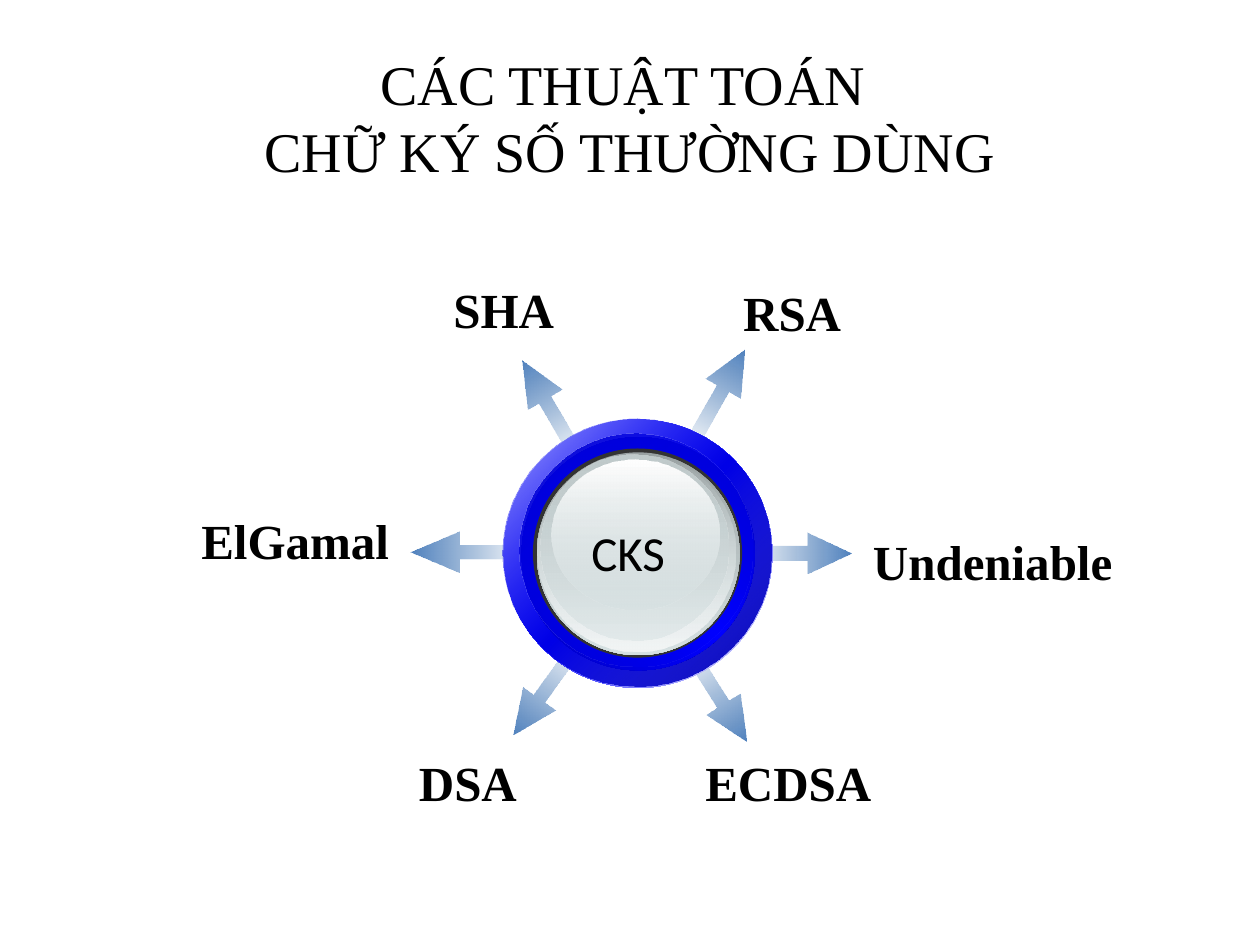
from pptx import Presentation, util as u
from pptx.dml.color import RGBColor
from pptx.enum import shapes, text
from pptx.oxml import parse_xml
from pptx.oxml.ns import nsdecls, qn

PX = 9144  # 100 px to the inch
SERIF, SANS = "Times New Roman", "Calibri"
HEX = {
    "black": "000000", "white": "FFFFFF", "steel": "4B7BB4", "sky": "4F81BD",
    "blue": "0000FF", "navy": "0000B6", "deep": "0000C3", "royal": "0000D1",
    "coal": "333333", "gray": "99A1A2", "ash": "C1CBCC", "mist": "D6E1E2",
    "pale": "F2F5F5",
}
ALIGN = {"l": text.PP_ALIGN.LEFT, "c": text.PP_ALIGN.CENTER, "r": text.PP_ALIGN.RIGHT}


def place(box, x, y, w, h):
    """Turn px relative to a box into EMU on the slide."""
    return [u.Emu(n * PX) for n in (box[0] + x, box[1] + y, w, h)]


def shade(shape, ang, *stops):
    """Fill with evenly spaced (colour, opacity %) stops."""
    gaps = len(stops) - 1
    marks = "".join(
        f'<a:gs pos="{100000 * i // gaps}"><a:srgbClr val="{HEX[name]}">'
        f'<a:alpha val="{alpha * 1000}"/></a:srgbClr></a:gs>'
        for i, (name, alpha) in enumerate(stops))
    shape.fill.background()
    props = shape._element.spPr
    props.replace(props.find(qn("a:noFill")), parse_xml(
        f'<a:gradFill {nsdecls("a")} rotWithShape="1"><a:gsLst>{marks}</a:gsLst>'
        f'<a:lin ang="{ang * 60000}" scaled="0"/></a:gradFill>'))


def plain(slide, kind, spot):
    shape = slide.shapes.add_shape(kind, *spot)
    shape.shadow.inherit = False
    shape.line.fill.background()
    return shape


def write(slide, spot, words, size, font=SERIF, bold=False, align="l", wrap=False):
    frame = slide.shapes.add_textbox(*spot).text_frame
    frame.word_wrap = wrap
    frame.vertical_anchor = text.MSO_ANCHOR.MIDDLE if wrap else text.MSO_ANCHOR.TOP
    if not wrap:
        frame.auto_size = text.MSO_AUTO_SIZE.SHAPE_TO_FIT_TEXT
    para = frame.paragraphs[0]
    para.text = words
    para.alignment = ALIGN[align]
    para.font.size = u.Pt(size)
    for run in para.runs:
        run.font.size = u.Pt(size)
        run.font.name = font
        run.font.bold = bold
        run.font.color.rgb = RGBColor.from_string(HEX["black"])


def head(slide, box):
    write(slide, place(box, 0, 0, *box[2:]),
          "CÁC THUẬT TOÁN \vCHỮ KÝ SỐ THƯỜNG DÙNG", 32, align="c", wrap=True)


def spokes(slide, box):
    for x, y, w, turn in (
        (200, 0, 87, 299.6), (200, 237, 87, 57.8), (67, 9, 87, 239.5),
        (63, 233, 87, 125.6), (263, 124, 87, 0), (0, 123, 94, 180),
    ):
        arrow = plain(slide, shapes.MSO_SHAPE.RIGHT_ARROW, place(box, x, y, w, 32))
        arrow.adjustments[0] = 0.35
        arrow.adjustments[1] = 1.21 if w > 87 else 1.11
        arrow.rotation = turn
        shade(arrow, 0, ("steel", 0), ("sky", 100))


def hub(slide, box):
    """Stack the discs of the button from back to front, then its caption."""
    for x, y, w, h, ang, *stops in (
        (1, 1, 213, 213, 45, ("white", 100), ("blue", 100), ("white", 100)),
        (0, 0, 213, 213, 45, ("blue", 32), ("navy", 100)),
        (15, 15, 185, 185, 315, ("deep", 100), ("blue", 100), ("deep", 100)),
        (13, 12, 185, 185, 45, ("royal", 100), ("blue", 0)),
        (24, 24, 166, 166, 0, ("coal", 100)),
        (27, 27, 161, 161, 90, ("gray", 100), ("mist", 100)),
        (28, 28, 157, 157, 90, ("mist", 0), ("pale", 100)),
        (30, 29, 149, 147, 90, ("ash", 100), ("mist", 48)),
        (39, 33, 133, 119, 90, ("white", 100), ("mist", 38)),
    ):
        disc = plain(slide, shapes.MSO_SHAPE.OVAL, place(box, x, y, w, h))
        if len(stops) > 1:
            shade(disc, ang, *stops)
        else:
            disc.fill.solid()
            disc.fill.fore_color.rgb = RGBColor.from_string(HEX[stops[0][0]])
    write(slide, place(box, 60, 78, 79, 57), "CKS", 28, SANS, align="c")


def names(slide, box):
    for words, x, y, w, align in (
        ("RSA", 430, 2, 99, "l"), ("SHA", 200, 0, 101, "l"),
        ("ECDSA", 400, 375, 153, "l"), ("DSA", 171, 375, 99, "r"),
        ("ElGamal", 0, 183, 171, "l"), ("Undeniable", 533, 200, 212, "l"),
    ):
        write(slide, place(box, x, y, w, 57), words, 28, bold=True, align=align)


def main():
    deck = Presentation()
    deck.slide_width, deck.slide_height = u.Emu(1000 * PX), u.Emu(750 * PX)
    slide = deck.slides.add_slide(deck.slide_layouts[6])
    head(slide, (50, 30, 900, 125))
    spokes(slide, (326, 299, 350, 269))
    hub(slide, (399, 332, 214, 214))
    names(slide, (150, 217, 745, 432))
    deck.save("out.pptx")


if __name__ == "__main__":
    main()
